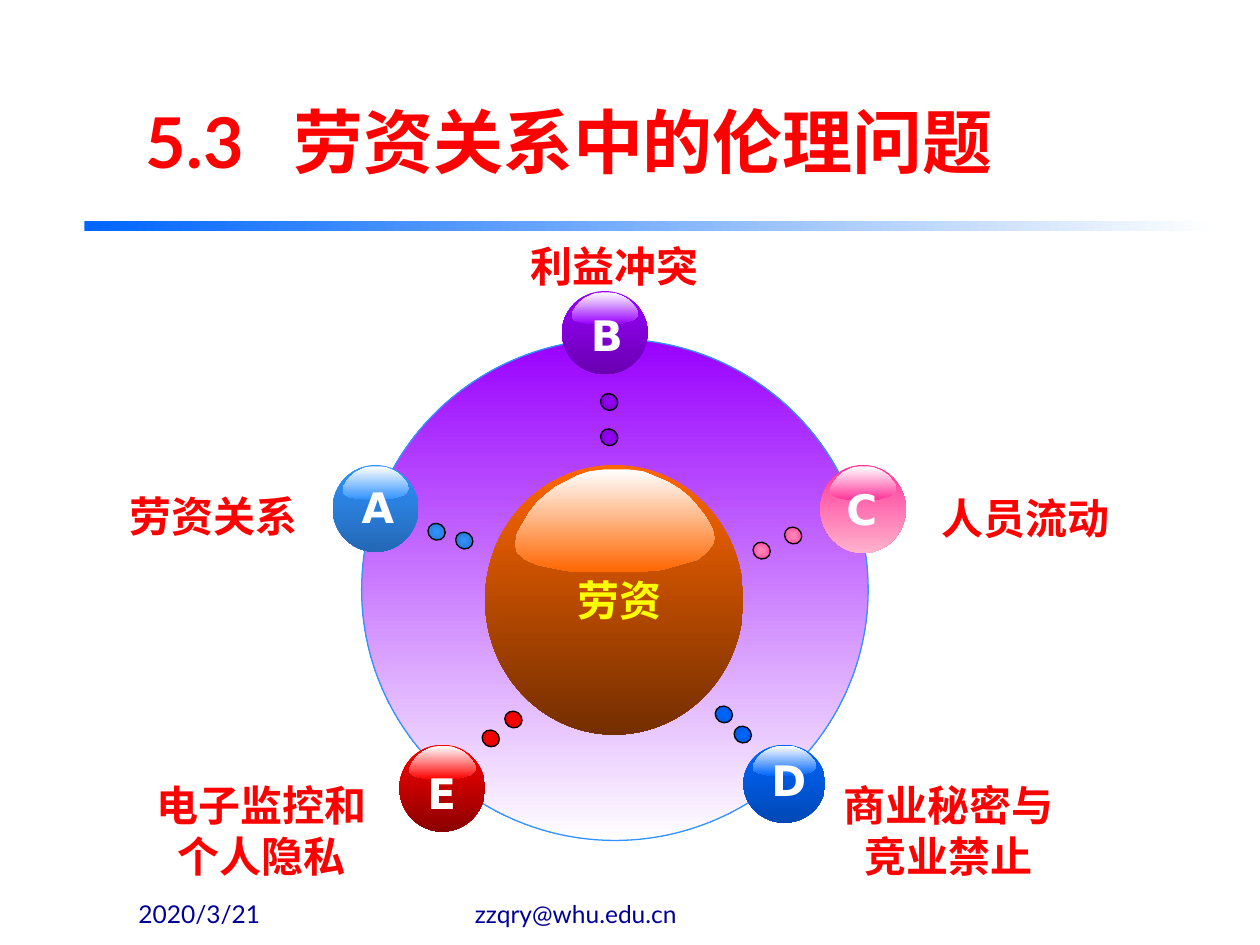
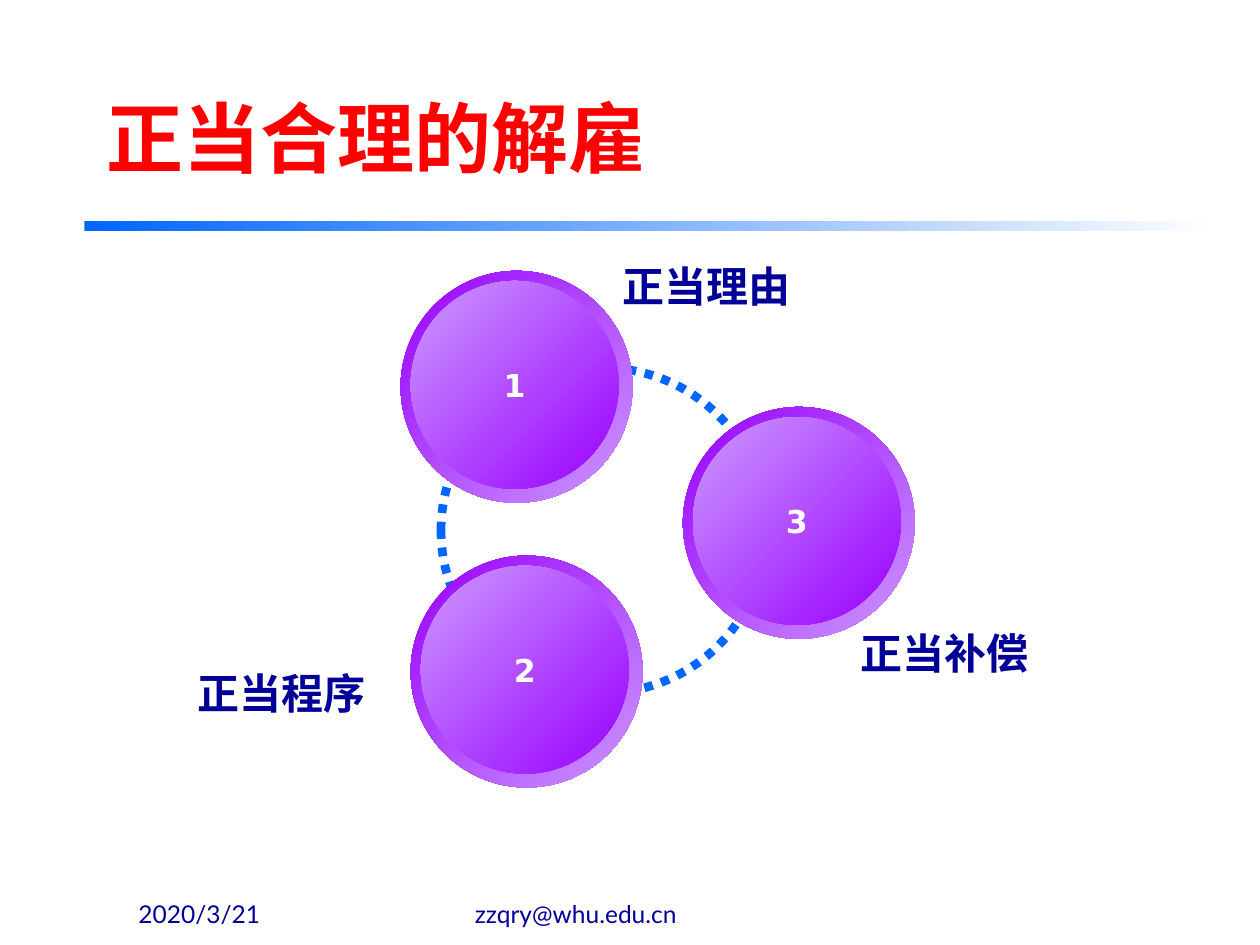
"""Build two slides on ethics in labour relations."""
from pptx import Presentation
from pptx.dml.color import RGBColor
from pptx.enum.dml import MSO_LINE
from pptx.enum.shapes import MSO_SHAPE
from pptx.enum.text import MSO_ANCHOR, PP_ALIGN
from pptx.oxml import parse_xml
from pptx.oxml.ns import nsdecls, qn
from pptx.util import Inches, Pt

RED, NAVY, BLUE, PURPLE = "FF0000", "000099", "0066FF", "9900FF"
LILAC, WHITE, BLACK, SKY = "CC99FF", "FFFFFF", "000000", "3193FF"
CENTER = PP_ALIGN.CENTER

TITLE = {"name": "Lato", "bold": True}
FOOTER = {"name": "Lato", "size": Pt(14)}
LABEL = {"name": "Arial", "size": Pt(24), "bold": True}
LETTER = {"name": "DejaVu Sans", "size": Pt(24), "bold": True}
NUMBER = {"name": "DejaVu Sans", "size": Pt(18), "bold": True}

GLOSS = [
    (98, 56), (100, 67), (99, 72), (96, 80), (91, 88), (82, 93), (73, 98),
    (60, 100), (36, 100), (26, 99), (18, 96), (11, 93), (5, 88), (1, 81),
    (0, 73), (1, 62), (4, 52), (7, 42), (11, 32), (15, 25), (20, 17),
    (26, 11), (31, 6), (37, 2), (44, 0), (57, 0), (64, 2), (70, 7),
    (76, 12), (82, 19), (87, 27), (91, 36), (95, 46),
]


def paint(shape, start, end, angle=270, outline=None):
    """Give a shape a two-colour gradient and an optional thin outline."""
    shape.shadow.inherit = False
    shape.fill.gradient()
    shape.fill.gradient_angle = angle
    for stop, color in zip(shape.fill.gradient_stops, (start, end)):
        stop.color.rgb = RGBColor.from_string(color)
    if outline:
        shape.line.color.rgb = RGBColor.from_string(outline)
        shape.line.width = Pt(0.75)
    else:
        shape.line.fill.background()


def write(shape, text, style, color, align=PP_ALIGN.LEFT, anchor=MSO_ANCHOR.TOP, wrap=True):
    """Put one formatted paragraph in a shape and return it."""
    frame = shape.text_frame
    frame.word_wrap = wrap
    frame.vertical_anchor = anchor
    para = frame.paragraphs[0]
    para.alignment = align
    span = para.add_run()
    span.text = text
    for key, value in style.items():
        setattr(span.font, key, value)
    span.font.color.rgb = RGBColor.from_string(color)
    return para


deck = Presentation()
deck.slide_width, deck.slide_height = Inches(10), Inches(7.5)

pages = []
for title, left, size in (("5.3\t劳资关系中的伦理问题", 1.06, 40), ("正当合理的解雇", 0.75, 44)):
    page = deck.slides.add_slide(deck.slide_layouts[6])
    band = page.shapes.add_shape(MSO_SHAPE.RECTANGLE, *map(Inches, (0.67, 1.75, 9, 0.08)))
    paint(band, BLUE, WHITE, 0)
    box = page.shapes.add_textbox(*map(Inches, (left, 0.68, 7.7, 0.82)))
    para = write(box, title, TITLE | {"size": Pt(size)}, RED, anchor=MSO_ANCHOR.BOTTOM)
    if "\t" in title:
        tabs = f'<a:tabLst {nsdecls("a")}><a:tab pos="{Inches(1.17)}" algn="l"/></a:tabLst>'
        para._p.get_or_add_pPr().append(parse_xml(tabs))
    for text, left, width in (("2020/3/21", 1, 2.08), ("zzqry@whu.edu.cn", 3.67, 3.17)):
        box = page.shapes.add_textbox(*map(Inches, (left, 6.92, width, 0.5)))
        write(box, text, FOOTER, NAVY, anchor=MSO_ANCHOR.BOTTOM)
    pages.append(page)

issues_page, dismissal_page = pages

disc = issues_page.shapes.add_shape(MSO_SHAPE.OVAL, *map(Inches, (2.87, 2.69, 4.02, 3.98)))
paint(disc, PURPLE, WHITE, outline=SKY)

spheres = [
    ("劳资", (3.85, 3.69, 2.05, 2.14), (4.48, 4.51, 0.87), "FF6600", "742E00", LABEL, "FFFF00"),
    ("A", (2.64, 3.69, 0.68, 0.69), (2.77, 3.77, 0.46), SKY, "2368B5", LETTER, WHITE),
    ("B", (4.46, 2.31, 0.68, 0.66), (4.59, 2.41, 0.45), PURPLE, "6900B0", LETTER, WHITE),
    ("C", (6.51, 3.69, 0.68, 0.7), (6.62, 3.79, 0.44), "FF3399", "FFB2CC", LETTER, WHITE),
    ("D", (5.9, 5.91, 0.65, 0.62), (6.02, 5.94, 0.48), BLUE, "0048B5", LETTER, WHITE),
    ("E", (3.17, 5.91, 0.68, 0.69), (3.29, 6.04, 0.43), RED, "8A0000", LETTER, WHITE),
]
for text, (left, top, width, height), (text_left, text_top, text_width), light, dark, style, color in spheres:
    ball = issues_page.shapes.add_shape(MSO_SHAPE.OVAL, *map(Inches, (left, top, width, height)))
    paint(ball, light, dark)
    scale = (Inches(0.775 * width) / 100, Inches(0.38 * height) / 100)
    builder = issues_page.shapes.build_freeform(*GLOSS[0], scale=scale)
    builder.add_line_segments(GLOSS[1:], close=True)
    gloss = builder.convert_to_shape(Inches(left + 0.117 * width), Inches(top + 0.017 * height))
    paint(gloss, WHITE, light)
    box = issues_page.shapes.add_textbox(*map(Inches, (text_left, text_top, text_width, 0.5)))
    write(box, text, style, color, CENTER, wrap=False)

dots = [
    (3.4, 4.15, SKY, "2774C9"), (3.62, 4.22, SKY, "246BBA"),
    (4.77, 3.12, PURPLE, "6D00B5"), (4.77, 3.4, PURPLE, "7000BA"),
    (6.23, 4.18, "FF8EB9", "FF3399"), (5.98, 4.3, "FF8EB9", "FF3399"),
    (5.83, 5.76, BLUE, "0056D6"), (5.68, 5.6, BLUE, "0056D6"),
    (3.83, 5.79, RED, "D60000"), (4.01, 5.64, RED, "D60000"),
]
for left, top, inner, outer in dots:
    dot = issues_page.shapes.add_shape(MSO_SHAPE.OVAL, *map(Inches, (left, top, 0.13, 0.14)))
    dot.rotation = 303.8
    paint(dot, inner, outer, outline=BLACK)
    gradient = dot.element.spPr.find(qn("a:gradFill"))
    radial = (f'<a:path {nsdecls("a")} path="shape">'
              '<a:fillToRect l="50000" t="50000" r="50000" b="50000"/></a:path>')
    gradient.replace(gradient.find(qn("a:lin")), parse_xml(radial))

issues = [
    ("劳资关系", 0.75, 3.84, 1.89, 0.5),
    ("利益冲突", 2.75, 1.86, 4.25, 0.5),
    ("人员流动", 7.19, 3.86, 1.89, 0.5),
    ("电子监控和个人隐私", 1.13, 6.14, 1.89, 0.9),
    ("商业秘密与竞业禁止", 6.58, 6.14, 1.89, 0.9),
]
for text, *place in issues:
    box = issues_page.shapes.add_textbox(*map(Inches, place))
    write(box, text, LABEL, RED, CENTER)

ring = dismissal_page.shapes.add_shape(MSO_SHAPE.OVAL, *map(Inches, (3.5, 2.92, 2.58, 2.58)))
ring.shadow.inherit = False
ring.fill.background()
ring.line.color.rgb = RGBColor.from_string(BLUE)
ring.line.width = Pt(5)
ring.line.dash_style = MSO_LINE.ROUND_DOT

conditions = [
    ("1", 3.18, 2.15, "正当理由", (4.84, 2.02, 3.17, 0.5), PP_ALIGN.LEFT),
    ("2", 3.26, 4.41, "正当程序", (0.5, 5.25, 2.5, 0.5), PP_ALIGN.RIGHT),
    ("3", 5.42, 3.23, "正当补偿", (6.73, 4.93, 2.5, 0.5), PP_ALIGN.LEFT),
]
for number, left, top, text, place, align in conditions:
    rim = dismissal_page.shapes.add_shape(MSO_SHAPE.OVAL, *map(Inches, (left, top, 1.84, 1.84)))
    paint(rim, PURPLE, LILAC, 315)
    face = dismissal_page.shapes.add_shape(
        MSO_SHAPE.OVAL, *map(Inches, (left + 0.08, top + 0.08, 1.65, 1.65)))
    paint(face, LILAC, PURPLE, 315)
    write(face, number, NUMBER, WHITE, CENTER, MSO_ANCHOR.MIDDLE, wrap=False)
    box = dismissal_page.shapes.add_textbox(*map(Inches, place))
    write(box, text, LETTER, NAVY, align)

deck.save("out.pptx")
